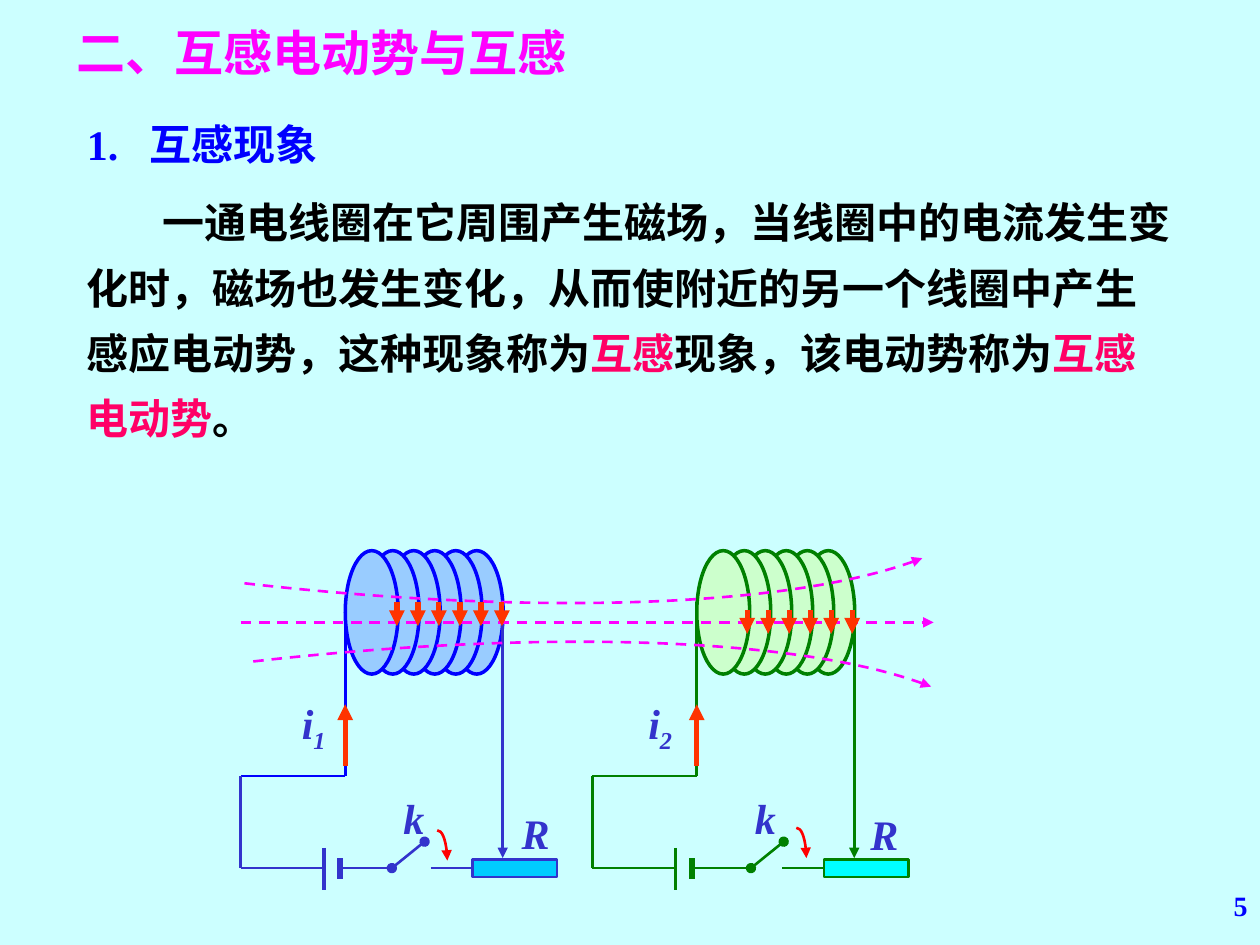
from dataclasses import dataclass

from lxml.etree import SubElement
from pptx import Presentation
from pptx.dml.color import RGBColor
from pptx.enum.dml import MSO_LINE
from pptx.enum.shapes import MSO_CONNECTOR, MSO_SHAPE
from pptx.enum.text import MSO_ANCHOR, MSO_AUTO_SIZE, PP_ALIGN
from pptx.oxml.ns import qn
from pptx.util import Inches, Pt

COLORS = {
    "background": "CCFFFF", "magenta": "FF00FF", "blue": "0000FF",
    "black": "000000", "pink": "FF0066", "indigo": "3333CC",
    "green": "008000", "orange": "FF3300", "red": "FF0000",
    "blue coil": "99CCFF", "green coil": "CCFFCC",
    "blue resistor": "00CCFF", "cyan resistor": "00FFFF",
}
FONT = "Times New Roman"
TURNS = 6
TURN_STEP = 1 / 6
CIRCUIT_BOTTOM = 6.89


@dataclass
class Circuit:
    left: float          # left edge of the coil
    coil: str
    coil_fill: str
    wire: str
    resistor_fill: str
    index: str           # subscript of the current
    current_left: float
    resistor_label: tuple
    switch_left: float
    swing: tuple         # start of the curved switch arrow
    turn_arrows: tuple   # first arrow on the turns: x, top
    plate_width: float


CIRCUITS = [
    Circuit(5.53, "green", "green coil", "green", "cyan resistor", "2", 5.04,
            (6.81, 6.37), 5.96, (6.32, 6.57), (5.93, 4.84), 2),
    Circuit(2.74, "blue", "blue coil", "indigo", "blue resistor", "1", 2.29,
            (4.04, 6.36), 3.11, (3.47, 6.59), (3.15, 4.78), 2.5),
]


def rgb(name):
    return RGBColor.from_string(COLORS[name])


def place(shape, left, top, width, height):
    shape.left, shape.top = Inches(left), Inches(top)
    shape.width, shape.height = Inches(width), Inches(height)


def write_text(shape, runs, size=24, color="black", italic=False, align=PP_ALIGN.LEFT,
               anchor=MSO_ANCHOR.TOP, wrap=True, indent=0, tab=None, spacing=1):
    """Fill a shape with one paragraph; runs are (text, overrides) pairs."""
    frame = shape.text_frame
    frame.word_wrap = wrap
    frame.auto_size = MSO_AUTO_SIZE.NONE
    frame.vertical_anchor = anchor
    paragraph = frame.paragraphs[0]
    properties = paragraph._p.get_or_add_pPr()
    properties.set("marL", "0")
    properties.set("indent", str(Inches(indent)))
    SubElement(properties, qn("a:buNone"))
    if tab:
        tabs = SubElement(properties, qn("a:tabLst"))
        SubElement(tabs, qn("a:tab"), pos=str(Inches(tab)), algn="l")
    paragraph.alignment = align
    paragraph.line_spacing = spacing
    paragraph.space_before = Pt(0)
    for text, overrides in runs:
        run = paragraph.add_run()
        run.text = text
        font = run.font
        font.name, font.size = FONT, Pt(size)
        font.bold, font.italic = True, italic
        font.color.rgb = rgb(overrides.get("color", color))
        if "baseline" in overrides:
            font._element.set("baseline", str(overrides["baseline"]))


def add_text(slide, box, runs, **text_format):
    shape = slide.shapes.add_textbox(*map(Inches, box))
    write_text(shape, runs, **text_format)


def add_label(slide, box, runs):
    add_text(slide, box, runs, color="indigo", italic=True,
             align=PP_ALIGN.CENTER, anchor=MSO_ANCHOR.MIDDLE, wrap=False)


def style_line(shape, color, width, head=None, tail=None, dash=False):
    line = shape.line
    line.color.rgb = rgb(color)
    line.width = Pt(width)
    if dash:
        line.dash_style = MSO_LINE.DASH
    for tag, kind in (("a:headEnd", head), ("a:tailEnd", tail)):
        if kind:
            SubElement(line._get_or_add_ln(), qn(tag), type=kind)


def add_line(slide, start, end, color, width=1.5, **line_format):
    connector = slide.shapes.add_connector(
        MSO_CONNECTOR.STRAIGHT, *map(Inches, (*start, *end)))
    style_line(connector, color, width, **line_format)
    SubElement(connector._element.spPr, qn("a:effectLst"))
    return connector


def add_curve(slide, points, color, **line_format):
    """Draw one cubic curve from a start, two control points and an end."""
    start, *others = [(Inches(x), Inches(y)) for x, y in points]
    builder = slide.shapes.build_freeform(*start)
    builder.add_line_segments(others, close=False)
    shape = builder.convert_to_shape()
    # Turn the three segments into one cubic segment
    segments = list(shape._element.iter(qn("a:lnTo")))
    cubic = SubElement(segments[0].getparent(), qn("a:cubicBezTo"))
    for segment in segments:
        cubic.append(segment[0])
        segment.getparent().remove(segment)
    shape.fill.background()
    shape.shadow.inherit = False
    style_line(shape, color, 1.5, tail="triangle", **line_format)


def add_filled(slide, kind, box, fill, color, width):
    shape = slide.shapes.add_shape(kind, *map(Inches, box))
    shape.shadow.inherit = False
    shape.fill.solid()
    shape.fill.fore_color.rgb = rgb(fill)
    style_line(shape, color, width)
    return shape


def add_circuit(slide, circuit):
    left, wire, bottom = circuit.left, circuit.wire, CIRCUIT_BOTTOM
    outer, right, battery = left - 0.83, left + 1.25, left - 0.17

    # Coil, from the rear turn to the front one
    for turn in reversed(range(TURNS)):
        add_filled(slide, MSO_SHAPE.OVAL, (left + turn * TURN_STEP, 4.37, 0.42, 0.98),
                   circuit.coil_fill, circuit.coil, 2)

    # Wires
    add_line(slide, (left, 4.78), (left, 6.16), circuit.coil)
    add_line(slide, (left, 6.16), (outer, 6.16), circuit.coil)
    add_line(slide, (outer, 6.16), (outer, bottom), wire)
    add_line(slide, (outer, bottom), (battery, bottom), wire)
    add_line(slide, (right, 4.78), (right, 6.81), wire, tail="triangle")

    # Battery
    add_line(slide, (battery, 6.73), (battery, 7.06), wire, circuit.plate_width)
    add_line(slide, (left - 0.04, 6.81), (left - 0.04, 6.98), wire, 3.5)

    # Switch
    switch = circuit.switch_left
    add_line(slide, (left - 0.02, bottom), (switch, bottom), wire)
    add_line(slide, (switch, bottom), (switch + 0.26, 6.68), wire, head="oval", tail="oval")
    x, y = circuit.swing
    add_curve(slide, [(x, y), (x + 0.04, y), (x + 0.08, y + 0.11), (x + 0.08, y + 0.24)], "red")

    # Resistor
    resistor = add_filled(slide, MSO_SHAPE.RECTANGLE, (left + 1.01, 6.82, 0.67, 0.14),
                          circuit.resistor_fill, wire, 1.5)
    lead = add_line(slide, (left + 0.68, bottom), (left + 1.01, bottom), wire)
    lead.end_connect(resistor, 1)

    # Current arrow and labels
    add_line(slide, (left, 6.08), (left, 5.59), "orange", 3, tail="triangle")
    add_label(slide, (left + 0.36, 6.24, 0.37, 0.5), [("k", {})])
    add_label(slide, (circuit.current_left, 5.51, 0.4, 0.5),
              [("i", {}), (circuit.index, {"baseline": -25000})])
    add_label(slide, (*circuit.resistor_label, 0.42, 0.5), [("R", {})])


def add_field(slide):
    add_line(slide, (1.91, 4.94), (7.41, 4.94), "magenta", tail="triangle", dash=True)
    for points in ([(1.94, 4.63), (4.22, 4.89), (6.33, 4.82), (7.32, 4.43)],
                   [(2.01, 5.25), (4.29, 4.99), (6.4, 5.06), (7.39, 5.45)]):
        add_curve(slide, points, "magenta", dash=True)


def add_turn_arrows(slide, circuit):
    first, top = circuit.turn_arrows
    for turn in range(TURNS):
        x = first + turn * TURN_STEP
        add_line(slide, (x, top), (x, top + 0.19), "orange", 3, tail="triangle")


def main():
    presentation = Presentation()
    presentation.slide_width, presentation.slide_height = Inches(10), Inches(7.5)
    slide = presentation.slides.add_slide(presentation.slide_layouts[1])
    slide.background.fill.solid()
    slide.background.fill.fore_color.rgb = rgb("background")

    # Title, heading, definition and page number
    title, body = slide.placeholders
    place(title, 0.51, 0.13, 4.96, 0.57)
    write_text(title, [("二、互感电动势与互感", {})], size=28, color="magenta")
    add_text(slide, (0.59, 0.89, 3.62, 0.5), [("1.\t互感现象", {})], color="blue", tab=0.49)
    place(body, 0.59, 1.39, 8.82, 2.18)
    write_text(body, [
        ("一通电线圈在它周围产生磁场，当线圈中的电流发生变化时，磁场也发生变化，"
         "从而使附近的另一个线圈中产生感应电动势，这种现象称为", {}),
        ("互感", {"color": "pink"}),
        ("现象，该电动势称为", {}),
        ("互感电动势", {"color": "pink"}),
        ("。", {}),
    ], indent=0.6, spacing=1.3)
    add_text(slide, (7.92, 7, 2.08, 0.5), [("5", {})], size=16, color="blue",
             align=PP_ALIGN.RIGHT)

    # Two coupled circuits with the field through both coils
    for circuit in CIRCUITS:
        add_circuit(slide, circuit)
    add_field(slide)
    for circuit in CIRCUITS:
        add_turn_arrows(slide, circuit)

    presentation.save("out.pptx")


if __name__ == "__main__":
    main()
